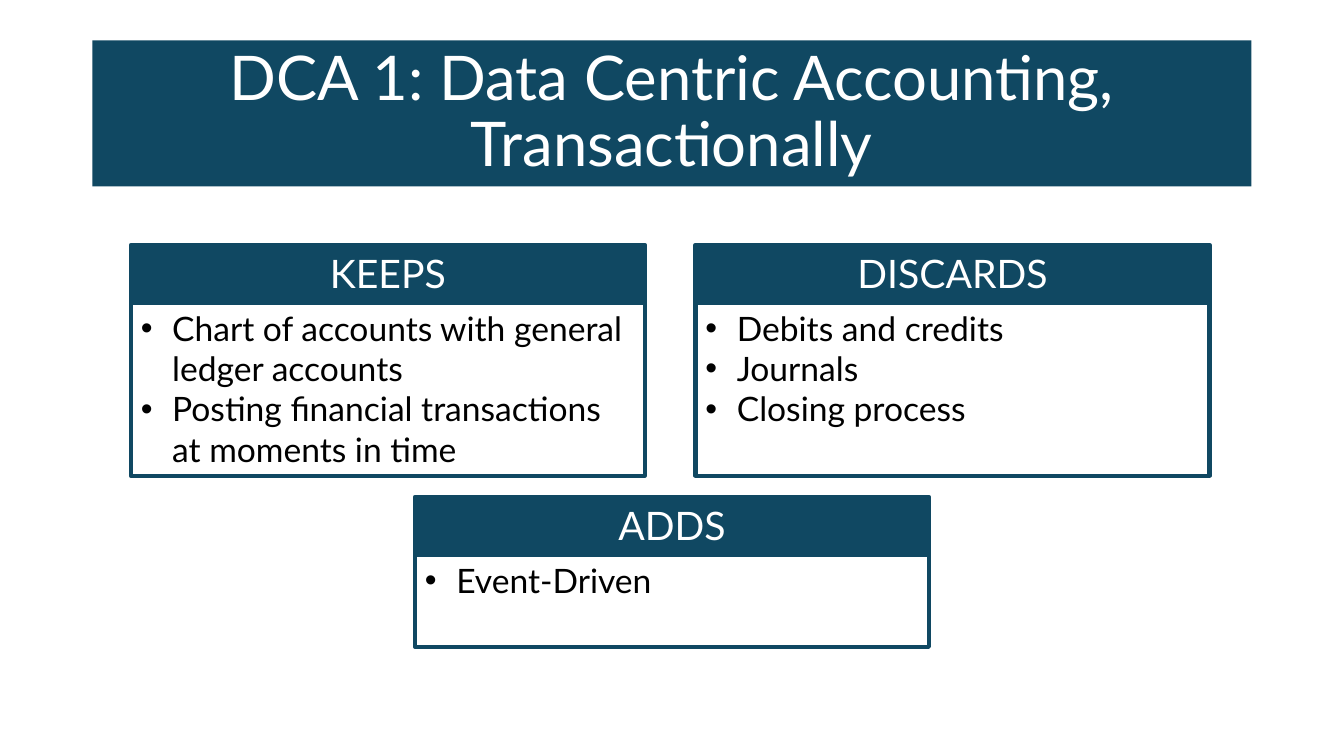
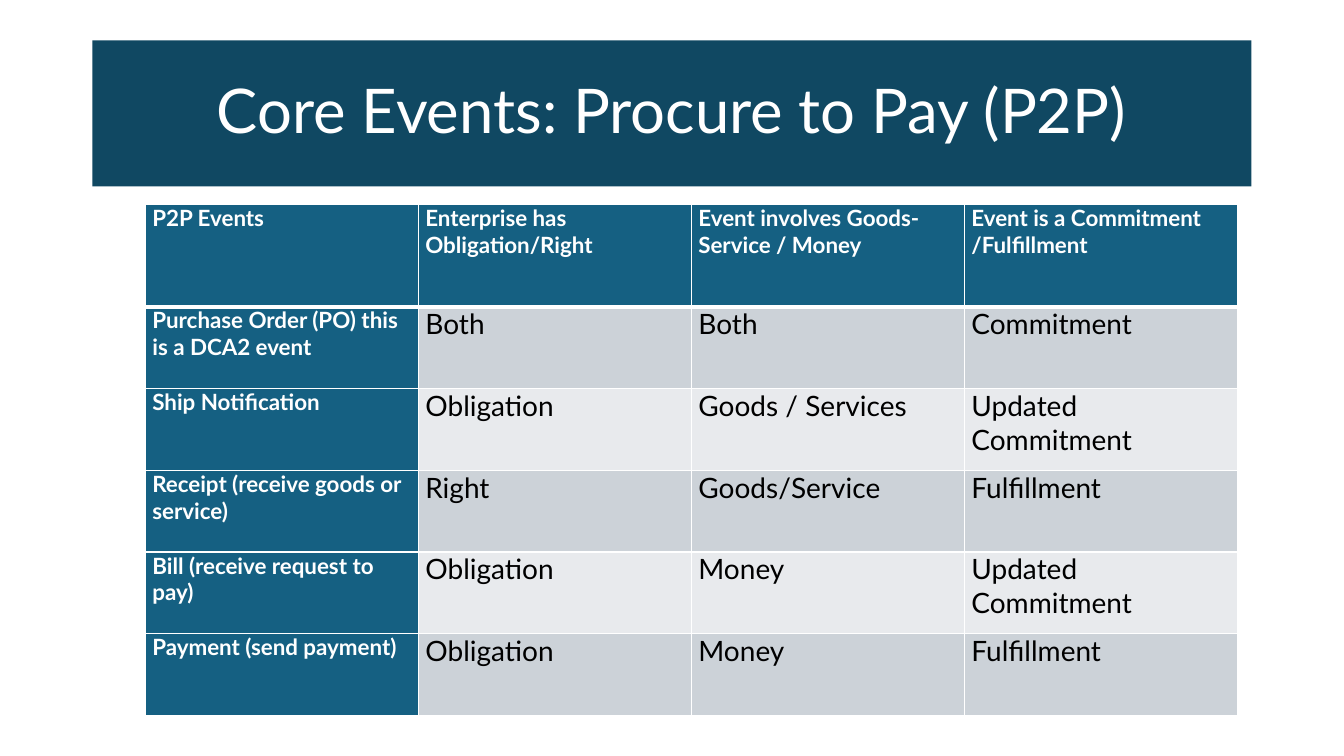
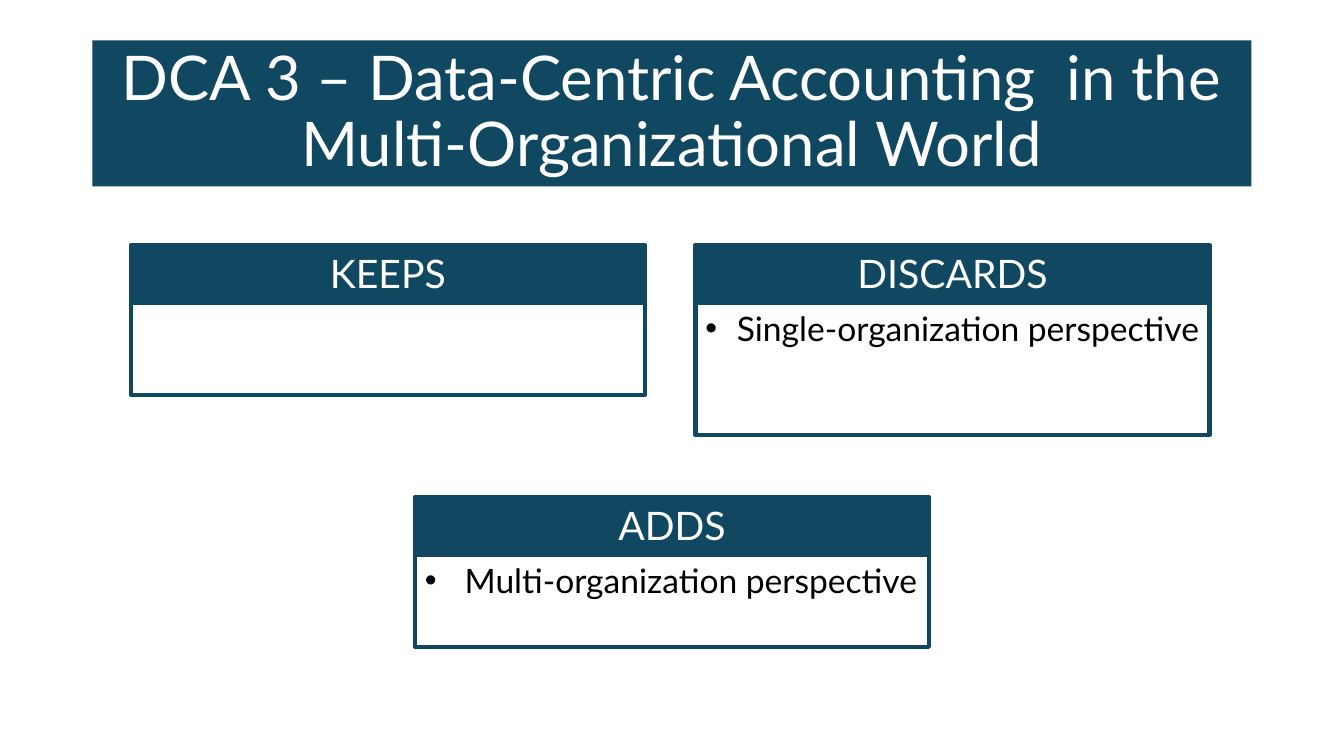
from dataclasses import dataclass

from lxml import etree
from pptx import Presentation
from pptx.dml.color import RGBColor
from pptx.enum.shapes import MSO_SHAPE
from pptx.enum.text import MSO_ANCHOR, PP_ALIGN
from pptx.oxml.ns import qn
from pptx.util import Cm, Pt

RECTANGLE = MSO_SHAPE.RECTANGLE
TOP, MIDDLE = MSO_ANCHOR.TOP, MSO_ANCHOR.MIDDLE
LEFT, CENTER = PP_ALIGN.LEFT, PP_ALIGN.CENTER


@dataclass(frozen=True)
class Theme:
    font: str = "Lato"
    band: str = "104862"
    table_head: str = "156082"
    table_rows: tuple = ("CCD2D8", "E8EAED")
    light: str = "FFFFFF"
    dark: str = "000000"
    title_size: int = 44
    heading_size: int = 28
    body_size: int = 24
    cell_size: int = 20
    cell_head_size: int = 16
    outline: int = 3


SLIDE_WIDTH, SLIDE_HEIGHT = 33.87, 19.05
TITLE_WIDTH = 29.21
PANEL_WIDTH, HEADING_HEIGHT = 12.95, 1.46
LINE_HEIGHT, PANEL_PADDING = 1.02, 0.28
BULLET_INDENT = 0.79
PANELS = {
    "KEEPS": (3.3, 6.17),
    "DISCARDS": (17.53, 6.17),
    "ADDS": (10.46, 12.52),
}
TABLE_LEFT, TABLE_TOP = 3.66, 5.16
COLUMN_WIDTH, HEAD_ROW_HEIGHT, ROW_HEIGHT = 6.88, 2.57, 2.06


def set_attributes(target, values):
    for name, value in values.items():
        setattr(target, name, value)


class Deck:
    def __init__(self, theme):
        self.theme = theme
        self.presentation = Presentation()
        set_attributes(self.presentation, {
            "slide_width": Cm(SLIDE_WIDTH), "slide_height": Cm(SLIDE_HEIGHT),
        })
        self.slide = None

    def new_slide(self, title):
        self.slide = self.presentation.slides.add_slide(self.presentation.slide_layouts[6])
        left = (SLIDE_WIDTH - TITLE_WIDTH) / 2
        shape = self.box(left, 1.02, TITLE_WIDTH, 3.68, fill=self.theme.band, anchor=MIDDLE)
        self.add_text(shape.text_frame.paragraphs[0], title, self.theme.title_size,
                      self.theme.light, alignment=CENTER, line_spacing=0.9)

    def box(self, left, top, width, height, fill=None, line=None, anchor=TOP):
        shape = self.slide.shapes.add_shape(RECTANGLE, Cm(left), Cm(top), Cm(width), Cm(height))
        shape.shadow.inherit = False
        for part, color in ((shape.fill, fill), (shape.line.fill, line)):
            if color:
                part.solid()
                part.fore_color.rgb = RGBColor.from_string(color)
            else:
                part.background()
        if line:
            shape.line.width = Pt(self.theme.outline)
            outline = shape.element.spPr.find(qn("a:ln"))
            etree.SubElement(outline, qn("a:round"))
        set_attributes(shape.text_frame, {"word_wrap": True, "vertical_anchor": anchor})
        return shape

    def add_text(self, paragraph, text, size, color, bold=False, **layout):
        set_attributes(paragraph, layout)
        run = paragraph.add_run()
        run.text = text
        set_attributes(run.font, {"name": self.theme.font, "size": Pt(size), "bold": bold})
        run.font.color.rgb = RGBColor.from_string(color)

    def bullet(self, paragraph, indent):
        properties = paragraph._p.get_or_add_pPr()
        properties.set("marL", str(Cm(indent)))
        properties.set("indent", str(-Cm(indent)))
        etree.SubElement(properties, qn("a:buFont"), typeface="Arial")
        etree.SubElement(properties, qn("a:buChar"), char="•")

    def panel(self, heading, items, lines, indent=BULLET_INDENT):
        theme = self.theme
        left, top = PANELS[heading]
        body = self.box(left, top + HEADING_HEIGHT, PANEL_WIDTH,
                        lines * LINE_HEIGHT + PANEL_PADDING, line=theme.band)
        frame = body.text_frame
        for index, item in enumerate(items):
            paragraph = frame.add_paragraph() if index else frame.paragraphs[0]
            self.bullet(paragraph, indent)
            self.add_text(paragraph, item, theme.body_size, theme.dark, alignment=LEFT)
        head = self.box(left, top, PANEL_WIDTH, HEADING_HEIGHT, fill=theme.band, line=theme.band)
        self.add_text(head.text_frame.paragraphs[0], heading, theme.heading_size,
                      theme.light, alignment=CENTER)

    def borders(self, cell, widths):
        properties = cell._tc.get_or_add_tcPr()
        for side, width in widths.items():
            border = etree.SubElement(properties, qn(f"a:ln{side}"), w=str(Pt(width)))
            fill = etree.SubElement(border, qn("a:solidFill"))
            etree.SubElement(fill, qn("a:srgbClr"), val=self.theme.light)

    def table(self, rows):
        theme = self.theme
        heights = [HEAD_ROW_HEIGHT] + [ROW_HEIGHT] * (len(rows) - 1)
        columns = len(rows[0])
        table = self.slide.shapes.add_table(
            len(rows), columns, Cm(TABLE_LEFT), Cm(TABLE_TOP),
            Cm(columns * COLUMN_WIDTH), Cm(sum(heights))).table
        for column in table.columns:
            column.width = Cm(COLUMN_WIDTH)
        for row, height in zip(table.rows, heights):
            row.height = Cm(height)
        for row_index, row in enumerate(rows):
            for column_index, text in enumerate(row):
                is_head = row_index == 0 or column_index == 0
                cell = table.cell(row_index, column_index)
                self.borders(cell, {"L": 1, "R": 1, "T": 3 if row_index == 1 else 1,
                                    "B": 3 if row_index == 0 else 1})
                set_attributes(cell, {
                    "margin_left": Cm(0.18), "margin_right": Cm(0.18),
                    "margin_top": 0, "margin_bottom": 0, "vertical_anchor": TOP,
                })
                cell.fill.solid()
                fill = theme.table_head if is_head else theme.table_rows[(row_index - 1) % 2]
                cell.fill.fore_color.rgb = RGBColor.from_string(fill)
                self.add_text(cell.text_frame.paragraphs[0], text,
                              theme.cell_head_size if is_head else theme.cell_size,
                              theme.light if is_head else theme.dark,
                              bold=is_head, space_after=Pt(6))


def main():
    deck = Deck(Theme())

    deck.new_slide("DCA 1: Data Centric Accounting, Transactionally")
    deck.panel("KEEPS", ["Chart of accounts with general ledger accounts",
                         "Posting financial transactions at moments in time"], lines=4)
    deck.panel("DISCARDS", ["Debits and credits", "Journals", "Closing process"], lines=4)
    deck.panel("ADDS", ["Event-Driven"], lines=2)

    deck.new_slide("Core Events: Procure to Pay (P2P)")
    deck.table([
        ("P2P Events", "Enterprise has Obligation/Right",
         "Event involves Goods-Service / Money", "Event is a Commitment /Fulfillment"),
        ("Purchase Order (PO) this is a DCA2 event", "Both", "Both", "Commitment"),
        ("Ship Notification", "Obligation", "Goods / Services", "Updated Commitment"),
        ("Receipt (receive goods or service)", "Right", "Goods/Service", "Fulfillment"),
        ("Bill (receive request to pay)", "Obligation", "Money", "Updated Commitment"),
        ("Payment (send payment)", "Obligation", "Money", "Fulfillment"),
    ])

    deck.new_slide("DCA 3 – Data-Centric Accounting  in the Multi-Organizational World")
    deck.panel("KEEPS", [], lines=2)
    deck.panel("DISCARDS", ["Single-organization perspective"], lines=3)
    deck.panel("ADDS", ["Multi-organization perspective"], lines=2, indent=1)

    deck.presentation.save("out.pptx")


if __name__ == "__main__":
    main()
